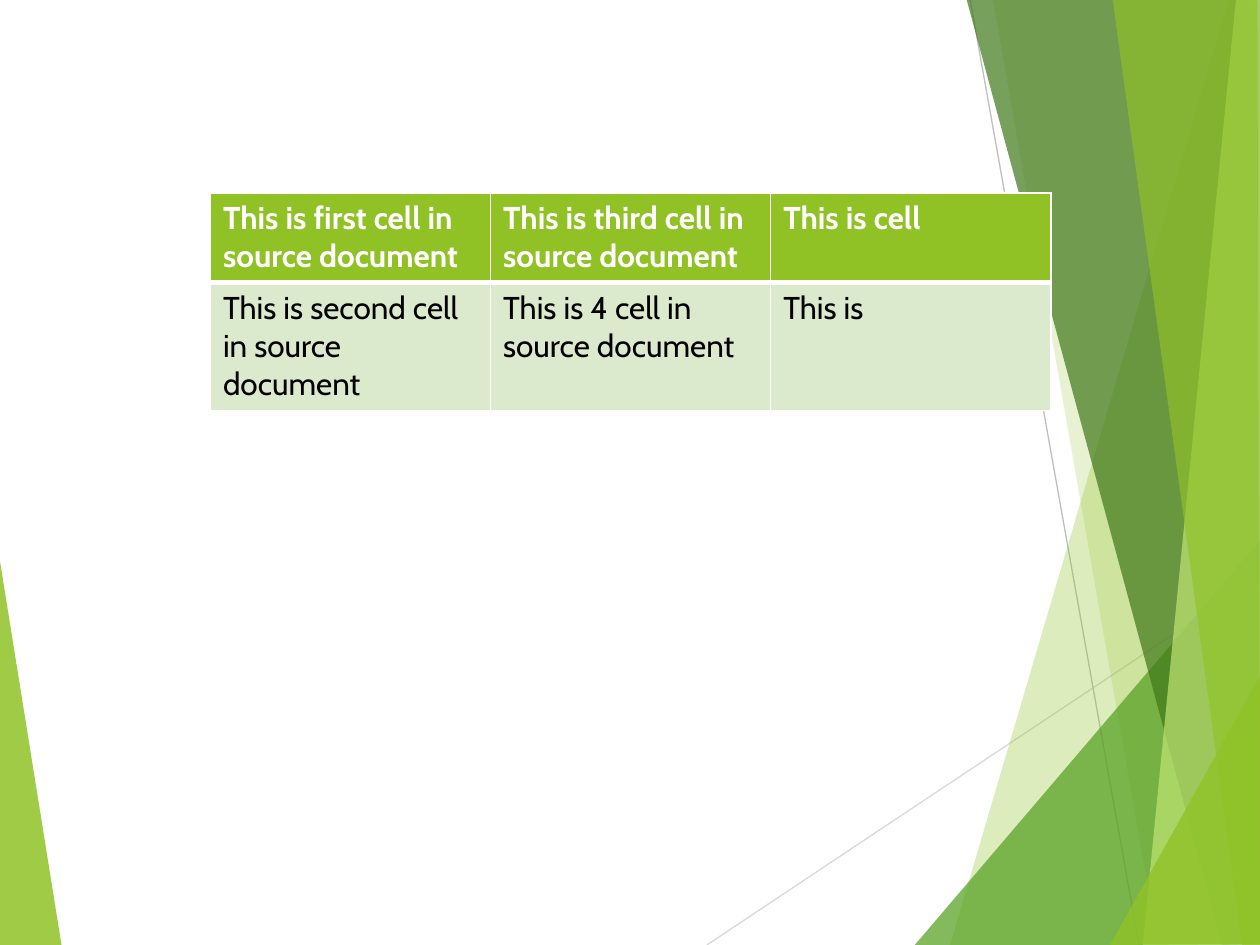
from dataclasses import dataclass

from lxml import etree
from pptx import Presentation
from pptx.dml.color import RGBColor
from pptx.enum.shapes import MSO_CONNECTOR
from pptx.oxml.ns import qn
from pptx.util import Emu, Pt

STRAIGHT = MSO_CONNECTOR.STRAIGHT
PX = 9144  # 100 px to the inch


@dataclass(frozen=True)
class Theme:
    font: str = "Cabin"
    size: int = 18
    lime: str = "90C226"
    pale: str = "C0E474"
    green: str = "54A021"
    dark: str = "3F7819"
    mint: str = "DBE9CD"
    white: str = "FFFFFF"
    black: str = "000000"
    silver: str = "D9D9D9"
    gray: str = "BFBFBF"
    hair: float = 0.75
    thin: int = 1
    thick: int = 3


def px(n):
    return Emu(n * PX)


def rgb(code):
    return RGBColor.from_string(code)


def write(frame, text, *, font, size, color, bold=False):
    run = frame.paragraphs[0].add_run()
    run.text = text
    run.font.name = font
    run.font.size = Pt(size)
    run.font.bold = bold
    run.font.color.rgb = rgb(color)


def edge(cell, color, **widths):
    """Draw cell borders, with widths in points keyed by side L, R, T, B."""
    props = cell._tc.get_or_add_tcPr()
    for spot, side in enumerate("LRTB"):
        line = etree.Element(qn(f"a:ln{side}"), w=str(Pt(widths[side])))
        fill = etree.SubElement(line, qn("a:solidFill"))
        etree.SubElement(fill, qn("a:srgbClr"), val=color)
        props.insert(spot, line)


class Page:
    def __init__(self, slide, theme):
        self.slide = slide
        self.theme = theme

    def line(self, start, end, color):
        link = self.slide.shapes.add_connector(
            STRAIGHT, *map(px, start + end))
        link.line.color.rgb = rgb(color)
        link.line.width = Pt(self.theme.hair)
        etree.SubElement(link._element.spPr, qn("a:effectLst"))

    def shard(self, color, alpha, *points):
        """Draw a closed outline; alpha is the opacity in percent."""
        pen = self.slide.shapes.build_freeform(*points[0], scale=PX)
        pen.add_line_segments(points[1:], close=True)
        shape = pen.convert_to_shape()
        shape.shadow.inherit = False
        shape.line.fill.background()
        shape.fill.solid()
        shape.fill.fore_color.rgb = rgb(color)
        tint = shape._element.spPr.find(".//" + qn("a:srgbClr"))
        etree.SubElement(tint, qn("a:alpha"), val=str(alpha * 1000))

    def table(self, left, top, wide, high, rows):
        t = self.theme
        grid = self.slide.shapes.add_table(
            len(rows), len(rows[0]), px(left), px(top),
            px(wide), px(high)).table
        for r, row in enumerate(rows):
            head = r == 0
            for c, text in enumerate(row):
                cell = grid.cell(r, c)
                cell.fill.solid()
                cell.fill.fore_color.rgb = rgb(t.lime if head else t.mint)
                edge(cell, t.white, L=t.thin, R=t.thin,
                     T=t.thin if head else t.thick,
                     B=t.thick if head else t.thin)
                write(cell.text_frame, text, font=t.font, size=t.size,
                      color=t.white if head else t.black, bold=head)


def main():
    deck = Presentation()
    deck.slide_width, deck.slide_height = px(1000), px(750)
    t = Theme()
    page = Page(deck.slides.add_slide(deck.slide_layouts[6]), t)

    page.shard(t.lime, 85, (-1, 439), (49, 751), (-1, 750))
    page.line((561, 750), (1001, 457), t.silver)
    page.line((770, 0), (904, 750), t.gray)
    page.shard(t.lime, 30, (975, 0), (754, 750), (1002, 751), (1001, 1))
    page.shard(t.lime, 20, (788, -1), (919, 750), (1001, 750), (1001, -1))
    page.shard(t.green, 72, (726, 750), (1000, 429), (1001, 750))
    page.shard(t.dark, 70, (767, -1), (970, 750), (1001, 749), (1001, -1))
    page.shard(t.pale, 70, (981, -1), (907, 750), (1001, 750), (1000, -1))
    page.shard(t.lime, 65, (883, -1), (986, 750), (1000, 750), (998, -1))
    page.shard(t.lime, 80, (881, 750), (1001, 535), (1001, 749))

    page.table(167, 153, 667, 82, [
        ["This is first cell in source document",
         "This is third cell in source document",
         "This is cell"],
        ["This is second cell in source document",
         "This is 4 cell in source document",
         "This is"],
    ])
    deck.save("out.pptx")


if __name__ == "__main__":
    main()
